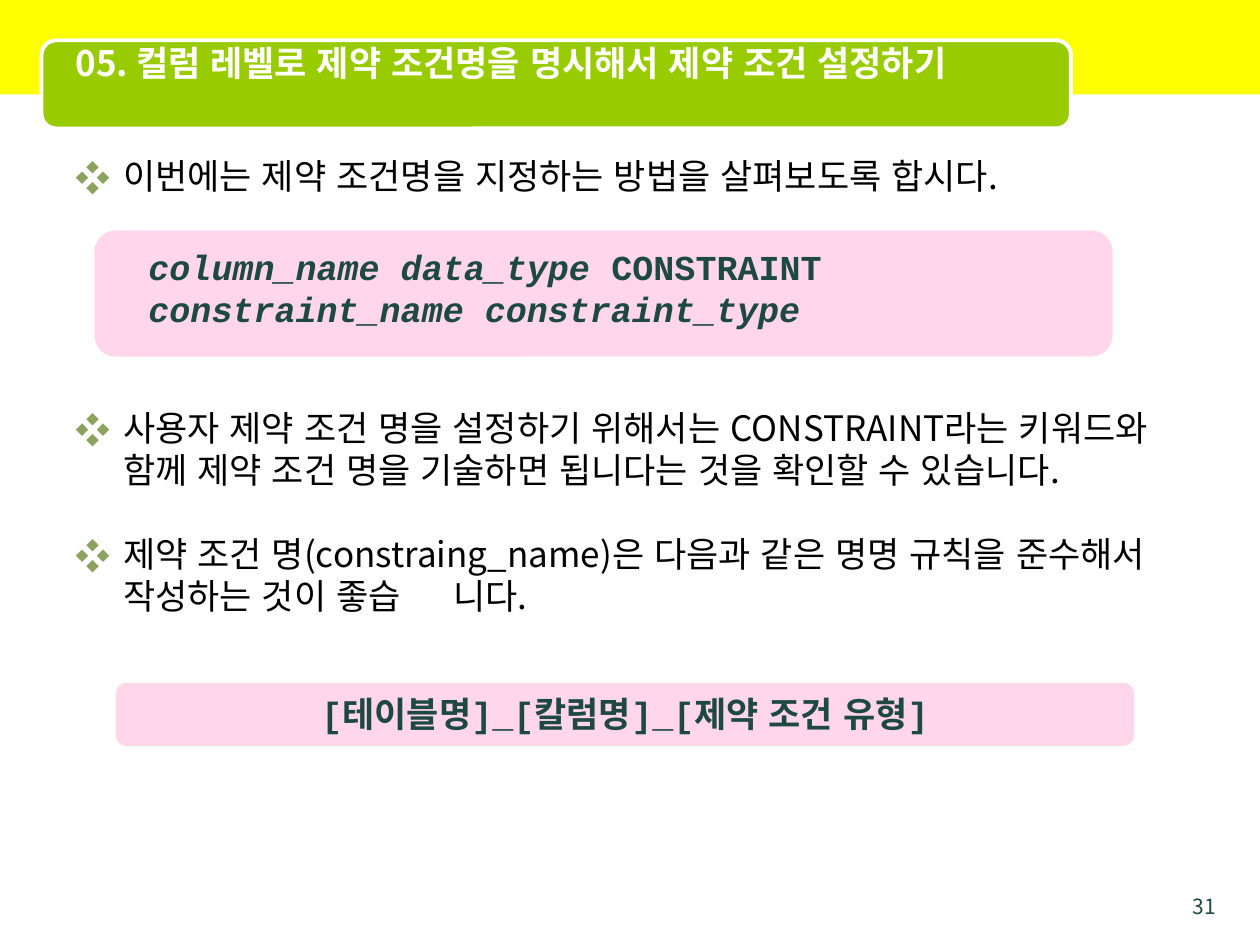
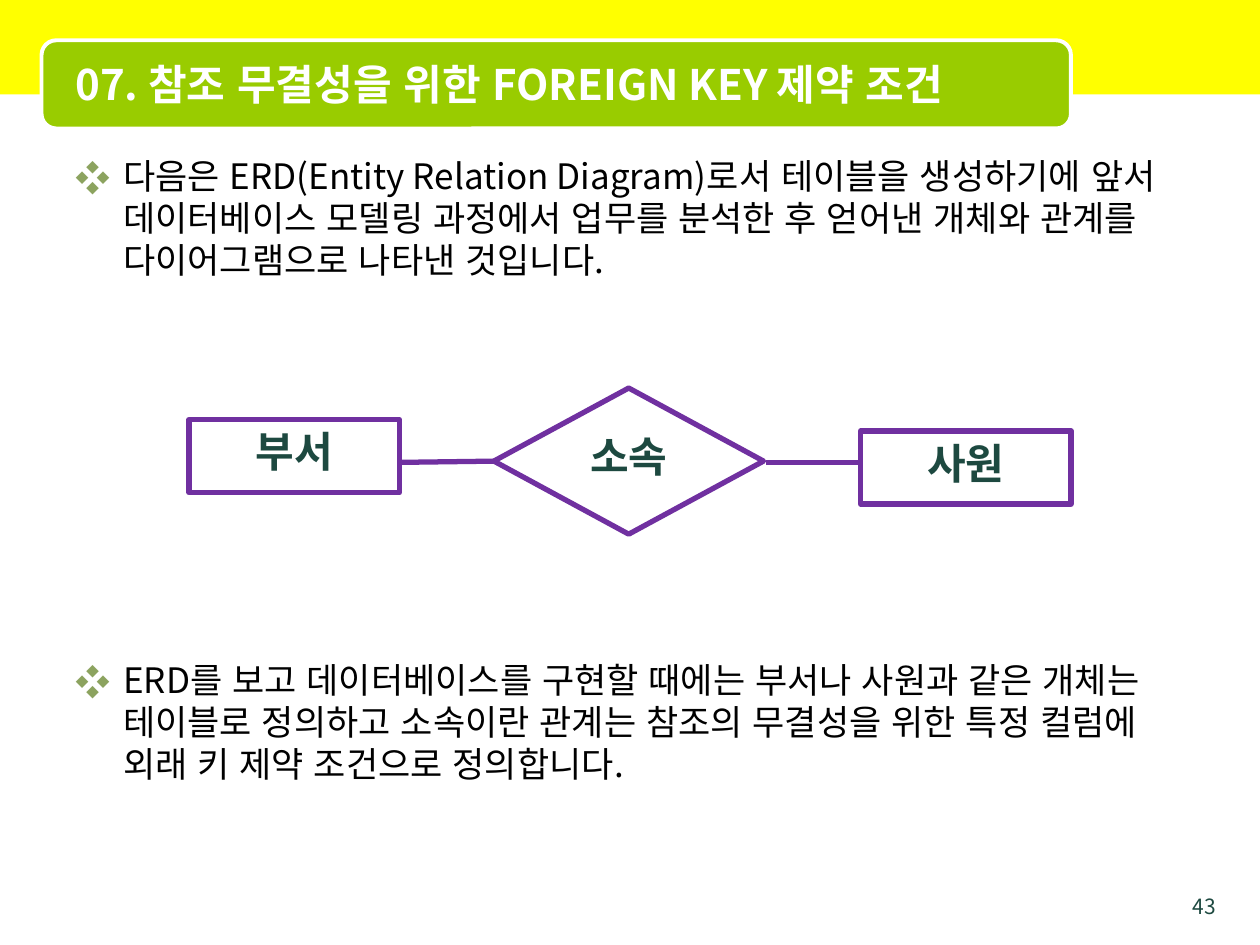
from dataclasses import dataclass

from lxml.etree import SubElement
from pptx import Presentation
from pptx.dml.color import RGBColor
from pptx.enum.lang import MSO_LANGUAGE_ID
from pptx.enum.shapes import MSO_CONNECTOR, MSO_SHAPE
from pptx.enum.text import MSO_ANCHOR, PP_ALIGN
from pptx.oxml.ns import qn
from pptx.util import Inches, Pt

YELLOW = RGBColor(0xFF, 0xFF, 0x00)
GREEN = RGBColor(0x99, 0xCC, 0x00)
WHITE = RGBColor(0xFF, 0xFF, 0xFF)
BLACK = RGBColor(0x00, 0x00, 0x00)
DARK_GREEN = RGBColor(0x1D, 0x49, 0x40)
PINK = RGBColor(0xFF, 0x99, 0xCC)
PURPLE = RGBColor(0x70, 0x30, 0xA0)
BULLET_GREEN = "8CA35F"
KOREAN_FONT = "Noto Sans CJK KR"
CODE_FONT = "Courier New"
LINE_PITCH = 1.2  # line height as a multiple of the text size


@dataclass(frozen=True)
class Area:
    left: float
    top: float
    width: float
    height: float

    def lengths(self) -> list:
        return [Inches(n) for n in (self.left, self.top, self.width, self.height)]


@dataclass(frozen=True)
class Style:
    size: int
    color: RGBColor = DARK_GREEN
    bold: bool = False
    font: str = KOREAN_FONT
    align: PP_ALIGN = PP_ALIGN.LEFT


@dataclass(frozen=True)
class Bullet:
    text: str
    space_before: int = 24


@dataclass(frozen=True)
class Heading:
    text: str
    size: int
    bottom_inset: float = 0.05


@dataclass(frozen=True)
class Entity:
    text: str
    kind: MSO_SHAPE
    area: Area


@dataclass(frozen=True)
class Link:
    start: tuple[float, float]
    end: tuple[float, float]


BODY_STYLE = Style(20, BLACK)
NUMBER_STYLE = Style(12, align=PP_ALIGN.RIGHT)
ENTITY_STYLE = Style(24, bold=True, align=PP_ALIGN.CENTER)
CODE_STYLE = Style(20, bold=True, font=CODE_FONT)
RULE_STYLE = Style(20, bold=True, font=CODE_FONT, align=PP_ALIGN.CENTER)

CONSTRAINT_BULLETS = [
    Bullet("이번에는 제약 조건명을 지정하는 방법을 살펴보도록 합시다.", 0),
    Bullet("사용자 제약 조건 명을 설정하기 위해서는 CONSTRAINT라는 키워드와 함께 "
           "제약 조건 명을 기술하면 됩니다는 것을 확인할 수 있습니다.", 120),
    Bullet("제약 조건 명(constraing_name)은 다음과 같은 명명 규칙을 준수해서 "
           "작성하는 것이 좋습\t니다."),
]
ERD_BULLETS = [
    Bullet("다음은 ERD(Entity Relation Diagram)로서 테이블을 생성하기에 앞서 "
           "데이터베이스 모델링 과정에서 업무를 분석한 후 얻어낸 개체와 관계를 "
           "다이어그램으로 나타낸 것입니다.", 0),
    Bullet("ERD를 보고 데이터베이스를 구현할 때에는 부서나 사원과 같은 개체는 "
           "테이블로 정의하고 소속이란 관계는 참조의 무결성을 위한 특정 컬럼에 "
           "외래 키 제약 조건으로 정의합니다.", 216),
]
ENTITIES = [
    Entity("부서", MSO_SHAPE.RECTANGLE, Area(1.5, 3.33, 1.67, 0.58)),
    Entity("사원", MSO_SHAPE.RECTANGLE, Area(6.83, 3.42, 1.67, 0.58)),
    Entity("소속", MSO_SHAPE.FLOWCHART_DECISION, Area(3.92, 3.08, 2.14, 1.16)),
]
LINKS = [Link((3.17, 3.67), (3.92, 3.66)), Link((6.08, 3.67), (6.83, 3.67))]


def format_span(span, style: Style) -> None:
    font = span.font
    font.name, font.size, font.bold = style.font, Pt(style.size), style.bold
    font.color.rgb = style.color
    font.language_id = MSO_LANGUAGE_ID.KOREAN
    latin = span._r.rPr.find(qn("a:latin"))
    east_asian = span._r.rPr.makeelement(qn("a:ea"), {"typeface": KOREAN_FONT})
    latin.addnext(east_asian)


def format_para(para, style: Style) -> None:
    para.alignment = style.align
    para.line_spacing = Pt(style.size * LINE_PITCH)
    for span in para.runs:
        format_span(span, style)


def add_text(page, area: Area, text: str, style: Style):
    box = page.shapes.add_textbox(*area.lengths())
    frame = box.text_frame
    frame.word_wrap = True
    frame.text = text
    format_para(frame.paragraphs[0], style)
    return box


def add_panel(page, kind: MSO_SHAPE, area: Area, fill=None, line=None, weight: float = 0):
    shape = page.shapes.add_shape(kind, *area.lengths())
    shape.shadow.inherit = False
    if fill is None:
        shape.fill.background()
    else:
        shape.fill.solid()
        shape.fill.fore_color.rgb = fill
    if line is None:
        shape.line.fill.background()
    else:
        shape.line.color.rgb = line
        shape.line.width = Pt(weight)
    return shape


def add_pink_panel(page, area: Area) -> None:
    panel = add_panel(page, MSO_SHAPE.ROUNDED_RECTANGLE, area, PINK)
    color = panel.fill._xPr.find(qn("a:solidFill"))[0]
    SubElement(color, qn("a:alpha"), val="40000")


def add_bullets(page, bullets: list[Bullet]) -> None:
    box = page.shapes.add_textbox(*Area(0.5, 1.18, 9, 6.14).lengths())
    frame = box.text_frame
    frame.word_wrap = True
    for index, bullet in enumerate(bullets):
        para = frame.add_paragraph() if index else frame.paragraphs[0]
        para.text = bullet.text
        format_para(para, BODY_STYLE)
        para.space_before = Pt(bullet.space_before)
        # Hanging bullet and one tab stop per inch
        properties = para._p.get_or_add_pPr()
        properties.set("marL", str(Inches(0.38)))
        properties.set("indent", str(-Inches(0.38)))
        color = SubElement(properties, qn("a:buClr"))
        SubElement(color, qn("a:srgbClr"), val=BULLET_GREEN)
        SubElement(properties, qn("a:buFont"), typeface=KOREAN_FONT)
        SubElement(properties, qn("a:buChar"), char="❖")
        tabs = SubElement(properties, qn("a:tabLst"))
        for stop in range(1, 9):
            SubElement(tabs, qn("a:tab"), pos=str(Inches(stop)), algn="l")


def add_entity(page, entity: Entity) -> None:
    shape = add_panel(page, entity.kind, entity.area, line=PURPLE, weight=3)
    frame = shape.text_frame
    frame.word_wrap = False
    frame.vertical_anchor = MSO_ANCHOR.TOP
    frame.text = entity.text
    format_para(frame.paragraphs[0], ENTITY_STYLE)


def add_link(page, link: Link) -> None:
    ends = [Inches(n) for n in (*link.start, *link.end)]
    connector = page.shapes.add_connector(MSO_CONNECTOR.STRAIGHT, *ends)
    connector.line.color.rgb = PURPLE
    connector.line.width = Pt(3)
    SubElement(connector._element.spPr, qn("a:effectLst"))


def add_page(deck, heading: Heading, number: int, bullets: list[Bullet]):
    """Add a slide with the shared band, title, page number and bullets."""
    page = deck.slides.add_slide(deck.slide_layouts[6])
    add_panel(page, MSO_SHAPE.RECTANGLE, Area(0, 0, 10.01, 0.75), YELLOW)
    add_panel(page, MSO_SHAPE.ROUNDED_RECTANGLE, Area(0.33, 0.32, 8.17, 0.7),
              GREEN, WHITE, 2.25)
    add_text(page, Area(9.25, 7.04, 0.5, 0.21), str(number), NUMBER_STYLE)
    title = add_text(page, Area(0.5, 0.35, 7.92, 0.62), heading.text,
                     Style(heading.size, WHITE, True))
    title.text_frame.vertical_anchor = MSO_ANCHOR.MIDDLE
    title.text_frame.margin_bottom = Inches(heading.bottom_inset)
    add_bullets(page, bullets)
    return page


def build_constraint_page(deck) -> None:
    heading = Heading("05. 컬럼 레벨로 제약 조건명을 명시해서 제약 조건 설정하기", 20, 0.38)
    page = add_page(deck, heading, 31, CONSTRAINT_BULLETS)

    # Syntax: names in italics, keyword upright
    add_pink_panel(page, Area(0.75, 1.83, 8.08, 1))
    syntax = add_text(page, Area(1.08, 1.9, 7.42, 0.77), "column_name data_type", CODE_STYLE)
    para = syntax.text_frame.paragraphs[0]
    para.runs[0].font.italic = True
    for text, italic in ((" CONSTRAINT ", False), ("constraint_name constraint_type", True)):
        span = para.add_run()
        span.text = text
        format_span(span, CODE_STYLE)
        span.font.italic = italic

    # Naming rule
    add_pink_panel(page, Area(0.92, 5.42, 8.08, 0.5))
    add_text(page, Area(1.25, 5.45, 7.42, 0.44), "[테이블명]_[칼럼명]_[제약 조건 유형]", RULE_STYLE)


def build_erd_page(deck) -> None:
    heading = Heading("07. 참조 무결성을 위한 FOREIGN KEY 제약 조건", 24)
    page = add_page(deck, heading, 43, ERD_BULLETS)
    for entity in ENTITIES:
        add_entity(page, entity)
    for link in LINKS:
        add_link(page, link)


def main() -> None:
    deck = Presentation()
    deck.slide_width, deck.slide_height = Inches(10), Inches(7.5)
    build_constraint_page(deck)
    build_erd_page(deck)
    deck.save("out.pptx")


if __name__ == "__main__":
    main()
